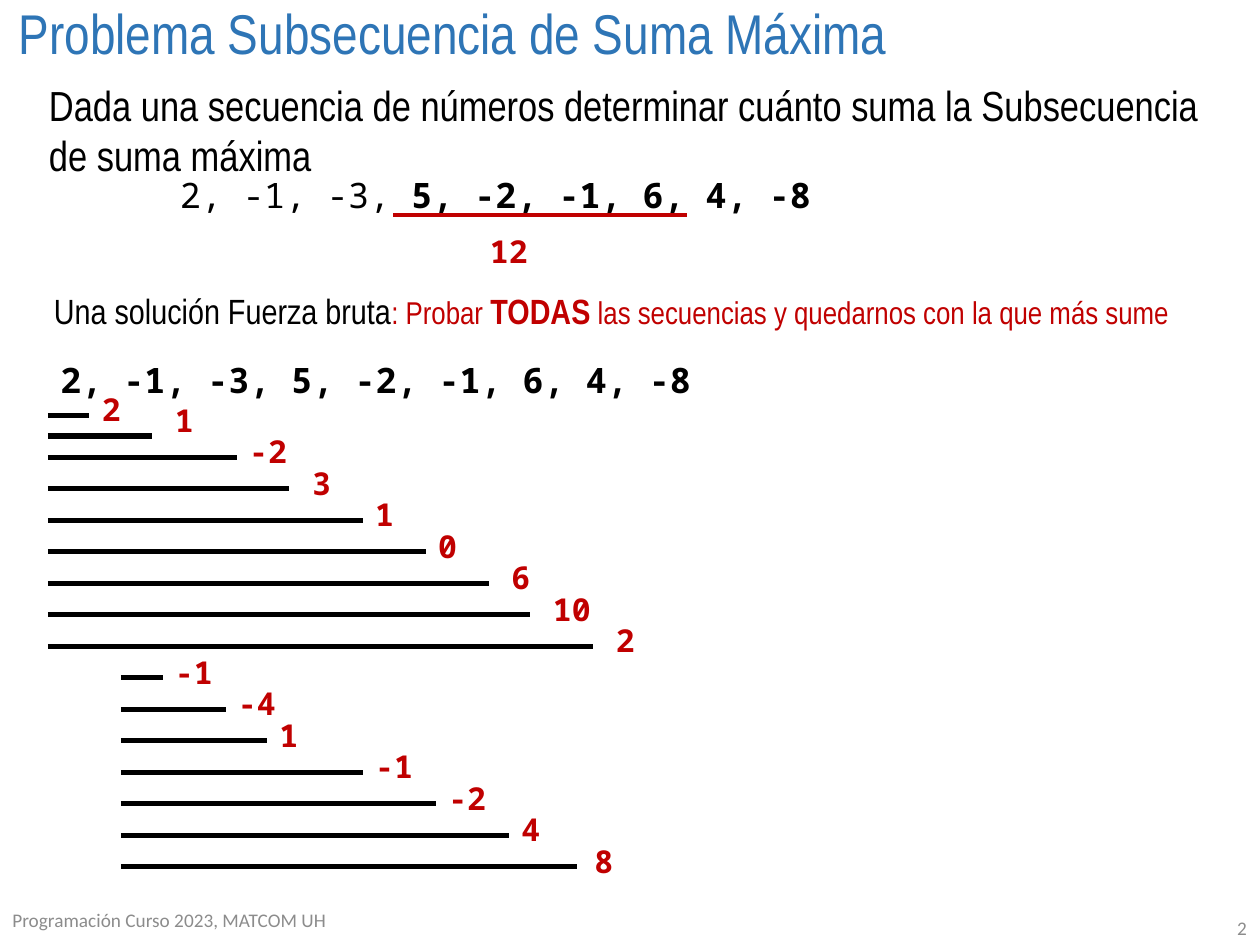
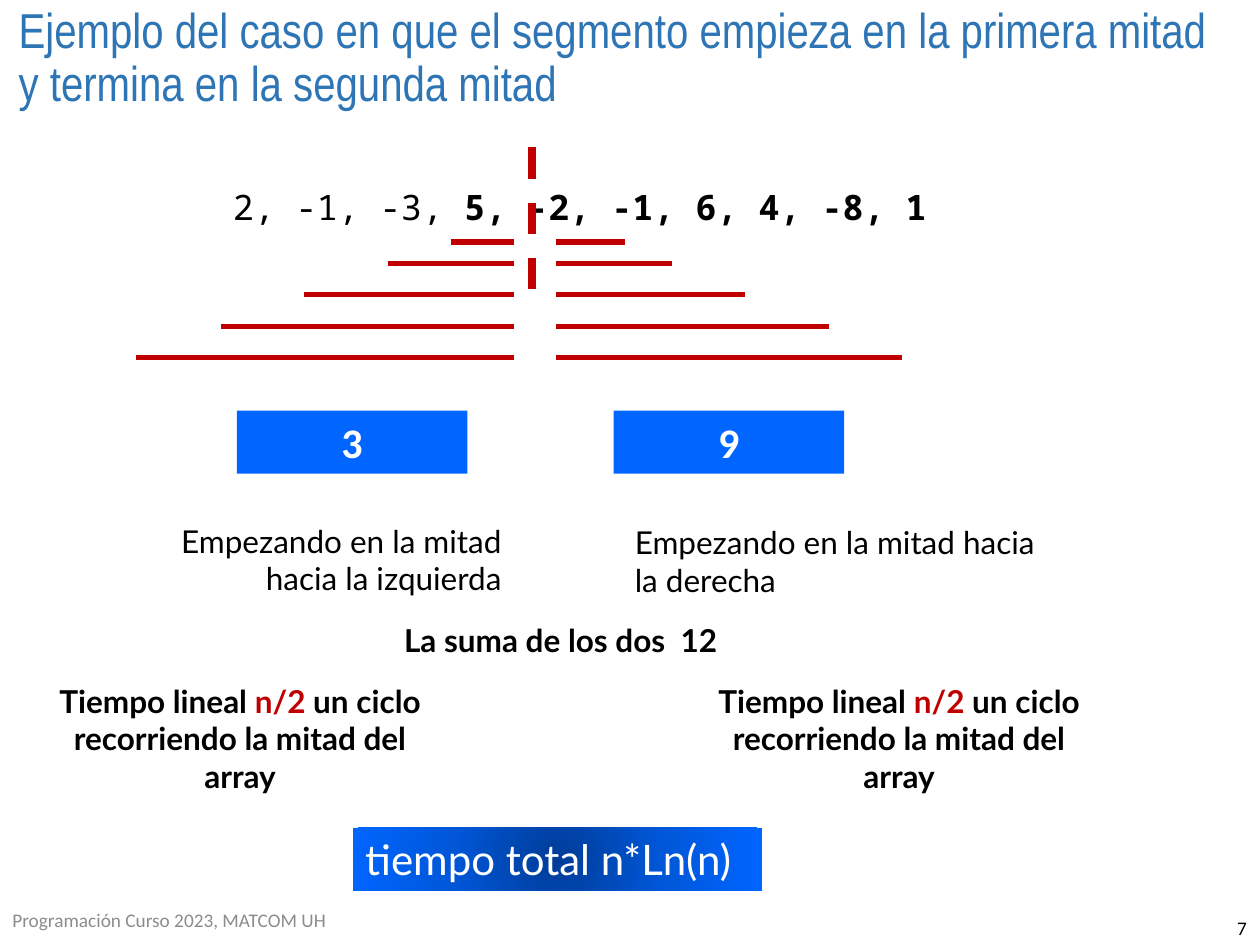
"""Build two slides on the maximum-sum subsequence problem."""
from dataclasses import dataclass
from typing import NamedTuple

import lxml.etree
import pptx
import pptx.dml.color
import pptx.enum.dml
import pptx.enum.shapes
import pptx.enum.text
import pptx.oxml
import pptx.oxml.ns
import pptx.shapes.autoshape
import pptx.slide
import pptx.util

Inches = pptx.util.Inches
Align = pptx.enum.text.PP_ALIGN
Anchor = pptx.enum.text.MSO_ANCHOR
AutoSize = pptx.enum.text.MSO_AUTO_SIZE

BLACK, WHITE, RED = "000000", "FFFFFF", "C00000"
TITLE_BLUE, BOX_BLUE, GRAY = "2E75B6", "0066FF", "8C8C8C"
NARROW, BODY, LATO, MONO = "Arial Narrow", "Calibri", "Lato", "Noto Sans Mono"
ROW_STEP = 0.25


@dataclass(frozen=True)
class Run:
    """A stretch of text with one format."""
    text: str
    size: float
    font: str
    color: str = BLACK
    bold: bool = False


class Box(NamedTuple):
    """A rectangle in inches."""
    left: float
    top: float
    width: float
    height: float


class Segment(NamedTuple):
    """The right end of a subsequence line, with the place and value of its sum."""
    end: float
    label_left: float
    total: str


FROM_FIRST = [
    Segment(0.71, 0.71, "2"), Segment(1.21, 1.29, "1"), Segment(1.88, 1.88, "-2"),
    Segment(2.29, 2.38, "3"), Segment(2.88, 2.88, "1"), Segment(3.38, 3.38, "0"),
    Segment(3.88, 3.96, "6"), Segment(4.21, 4.29, "10"), Segment(4.71, 4.79, "2"),
]
FROM_SECOND = [
    Segment(1.29, 1.29, "-1"), Segment(1.79, 1.79, "-4"), Segment(2.12, 2.12, "1"),
    Segment(2.88, 2.88, "-1"), Segment(3.46, 3.46, "-2"), Segment(4.04, 4.04, "4"),
    Segment(4.58, 4.62, "8"),
]
LEFT_STARTS = [3.58, 3.08, 2.41, 1.75, 1.08]
RIGHT_ENDS = [4.96, 5.33, 5.91, 6.58, 7.16]


def rgb(color: str) -> pptx.dml.color.RGBColor:
    """Turn a hex string into a colour."""
    return pptx.dml.color.RGBColor.from_string(color)


def write_runs(shape: pptx.shapes.autoshape.Shape, runs: list[Run], align: Align = Align.LEFT,
               anchor: Anchor = Anchor.TOP, grow: bool = True, spacing: float = 1.0) -> None:
    """Write one paragraph into a shape, run by run."""
    frame = shape.text_frame
    frame.word_wrap = True
    frame.auto_size = AutoSize.SHAPE_TO_FIT_TEXT if grow else AutoSize.NONE
    frame.vertical_anchor = anchor
    paragraph = frame.paragraphs[0]
    paragraph.alignment = align
    paragraph.line_spacing = spacing
    for item in runs:
        run = paragraph.add_run()
        run.text = item.text
        run.font.size = pptx.util.Pt(item.size)
        run.font.name = item.font
        run.font.bold = item.bold
        run.font.color.rgb = rgb(item.color)


def add_text(slide: pptx.slide.Slide, box: Box, runs: list[Run], align: Align = Align.LEFT,
             anchor: Anchor = Anchor.TOP, grow: bool = True, spacing: float = 1.0) -> None:
    """Add a text box."""
    shape = slide.shapes.add_textbox(*map(Inches, box))
    write_runs(shape, runs, align, anchor, grow, spacing)


def add_line(slide: pptx.slide.Slide, start: tuple[float, float], end: tuple[float, float],
             color: str, width: float = 3, dashed: bool = False) -> None:
    """Add a straight line without shadow."""
    connector = slide.shapes.add_connector(
        pptx.enum.shapes.MSO_CONNECTOR.STRAIGHT, *map(Inches, start + end))
    connector.line.color.rgb = rgb(color)
    connector.line.width = pptx.util.Pt(width)
    if dashed:
        connector.line.dash_style = pptx.enum.dml.MSO_LINE.DASH
    lxml.etree.SubElement(connector._element.spPr, pptx.oxml.ns.qn("a:effectLst"))


def add_box(slide: pptx.slide.Slide, box: Box, run: Run,
            align: Align = Align.CENTER) -> pptx.shapes.autoshape.Shape:
    """Add a blue rectangle with text."""
    shape = slide.shapes.add_shape(
        pptx.enum.shapes.MSO_SHAPE.RECTANGLE, *map(Inches, box))
    shape.shadow.inherit = False
    shape.fill.solid()
    shape.fill.fore_color.rgb = rgb(BOX_BLUE)
    shape.line.fill.background()
    write_runs(shape, [run], align)
    return shape


def set_radial_fill(shape: pptx.shapes.autoshape.Shape, stops: dict[int, str]) -> None:
    """Replace a solid fill by a gradient spreading from the centre."""
    stop_xml = "".join(
        f'<a:gs pos="{percent * 1000}"><a:srgbClr val="{color}"/></a:gs>'
        for percent, color in stops.items())
    gradient = pptx.oxml.parse_xml(
        f'<a:gradFill {pptx.oxml.ns.nsdecls("a")} rotWithShape="1"><a:gsLst>{stop_xml}</a:gsLst>'
        '<a:path path="circle"><a:fillToRect l="50000" t="50000" r="50000" b="50000"/></a:path>'
        '</a:gradFill>')
    properties = shape._element.spPr
    properties.replace(properties.find(pptx.oxml.ns.qn("a:solidFill")), gradient)


def add_slide(presentation: pptx.presentation.Presentation, title: str, title_size: float,
              number: str, number_color: str) -> pptx.slide.Slide:
    """Add a blank slide with title, footer and number."""
    slide = presentation.slides.add_slide(presentation.slide_layouts[6])
    add_text(slide, Box(0.05, 0, 9.67, 0.45), [Run(title, title_size, NARROW, TITLE_BLUE)],
             grow=False, spacing=0.9)
    add_text(slide, Box(0, 7.1, 6, 0.4), [Run("Programación Curso 2023, MATCOM UH", 11, BODY, GRAY)],
             anchor=Anchor.MIDDLE, grow=False)
    add_text(slide, Box(9.72, 7.23, 0.28, 0.27), [Run(number, 11, BODY, number_color)],
             anchor=Anchor.MIDDLE, grow=False)
    return slide


def add_segments(slide: pptx.slide.Slide, start: float, segments: list[Segment],
                 rows: list[float]) -> None:
    """Add subsequence lines from one start, each with its sum."""
    for segment, row in zip(segments, rows):
        add_line(slide, (start, row), (segment.end, row), BLACK)
        label_top = 3.13 if row == 3.46 else row - ROW_STEP
        add_text(slide, Box(segment.label_left, label_top, 0.5, 0.4),
                 [Run(segment.total, 18, MONO, RED, True)])


def build_problem(presentation: pptx.presentation.Presentation) -> None:
    """Build the slide that states the problem and tries every subsequence."""
    slide = add_slide(presentation, "Problema Subsecuencia de Suma Máxima", 32, "2", GRAY)
    add_text(slide, Box(0.29, 0.58, 9.58, 0.91), [Run(
        "Dada una secuencia de números determinar cuánto suma la Subsecuencia de suma máxima",
        24, NARROW)])
    add_text(slide, Box(1.33, 1.33, 6.25, 0.44), [
        Run("2, -1, -3, ", 20, MONO), Run("5, -2, -1, 6, 4, -8", 20, MONO, bold=True)])
    add_line(slide, (3.12, 1.71), (5.45, 1.71), RED, 2.25)
    add_text(slide, Box(3.79, 1.79, 1.08, 0.4), [Run("12", 18, MONO, RED, True)])
    add_text(slide, Box(0.33, 2.25, 9.42, 0.44), [
        Run("Una solución Fuerza bruta", 20, NARROW),
        Run(": Probar ", 18, NARROW, RED),
        Run("TODAS", 20, NARROW, RED, True),
        Run(" las secuencias y quedarnos con la que más sume", 18, NARROW, RED)])
    add_text(slide, Box(0.38, 2.8, 6.25, 0.44),
             [Run("2, -1, -3, 5, -2, -1, 6, 4, -8", 20, MONO, bold=True)])
    rows = [3.3, 3.46] + [3.63 + ROW_STEP * index for index in range(14)]
    add_segments(slide, 0.38, FROM_FIRST, rows)
    add_segments(slide, 0.96, FROM_SECOND, rows[len(FROM_FIRST):])


def build_halves(presentation: pptx.presentation.Presentation) -> None:
    """Build the slide where the segment crosses the middle."""
    slide = add_slide(
        presentation,
        "Ejemplo del caso en que el segmento empieza en la primera mitad y termina en la segunda mitad",
        28, "7", BLACK)
    add_text(slide, Box(1.75, 1.42, 7.17, 0.44), [
        Run("2, -1, -3, ", 20, MONO), Run("5, -2, -1, 6, 4, -8, 1", 20, MONO, bold=True)])
    add_line(slide, (4.22, 1.17), (4.22, 2.33), RED, 4.5, dashed=True)
    rows = [1.92] + [2.09 + ROW_STEP * index for index in range(4)]
    for row, left_start, right_end in zip(rows, LEFT_STARTS, RIGHT_ENDS):
        add_line(slide, (left_start, row), (4.08, row), RED)
        add_line(slide, (4.41, row), (right_end, row), RED)
    for left, total in ((1.88, "3"), (4.87, "9")):
        add_box(slide, Box(left, 3.26, 1.83, 0.5), Run(total, 24, BODY, WHITE, True))
    add_text(slide, Box(1.18, 4.09, 2.9, 0.71),
             [Run("Empezando en la mitad hacia la izquierda", 18, LATO)], Align.RIGHT)
    add_text(slide, Box(4.94, 4.1, 3.43, 0.71),
             [Run("Empezando en la mitad hacia la derecha", 18, LATO)])
    add_text(slide, Box(2.54, 4.88, 3.25, 0.4),
             [Run("La suma de los dos  12", 18, LATO, bold=True)], Align.RIGHT)
    for left in (0.28, 5.51):
        add_text(slide, Box(left, 5.36, 3.25, 1.01), [
            Run("Tiempo lineal ", 18, LATO, bold=True),
            Run("n/2", 18, LATO, RED, True),
            Run(" un ciclo recorriendo la mitad del array", 18, LATO, bold=True)], Align.CENTER)
    total_time = add_box(slide, Box(2.8, 6.57, 3.25, 0.5),
                         Run("tiempo total n*Ln(n)", 24, LATO, WHITE), Align.LEFT)
    set_radial_fill(total_time, {0: "003C97", 50: "0056D7", 100: BOX_BLUE})


def main() -> None:
    """Build and save the presentation."""
    presentation = pptx.Presentation()
    presentation.slide_width = Inches(10)
    presentation.slide_height = Inches(7.5)
    build_problem(presentation)
    build_halves(presentation)
    presentation.save("out.pptx")


if __name__ == "__main__":
    main()
